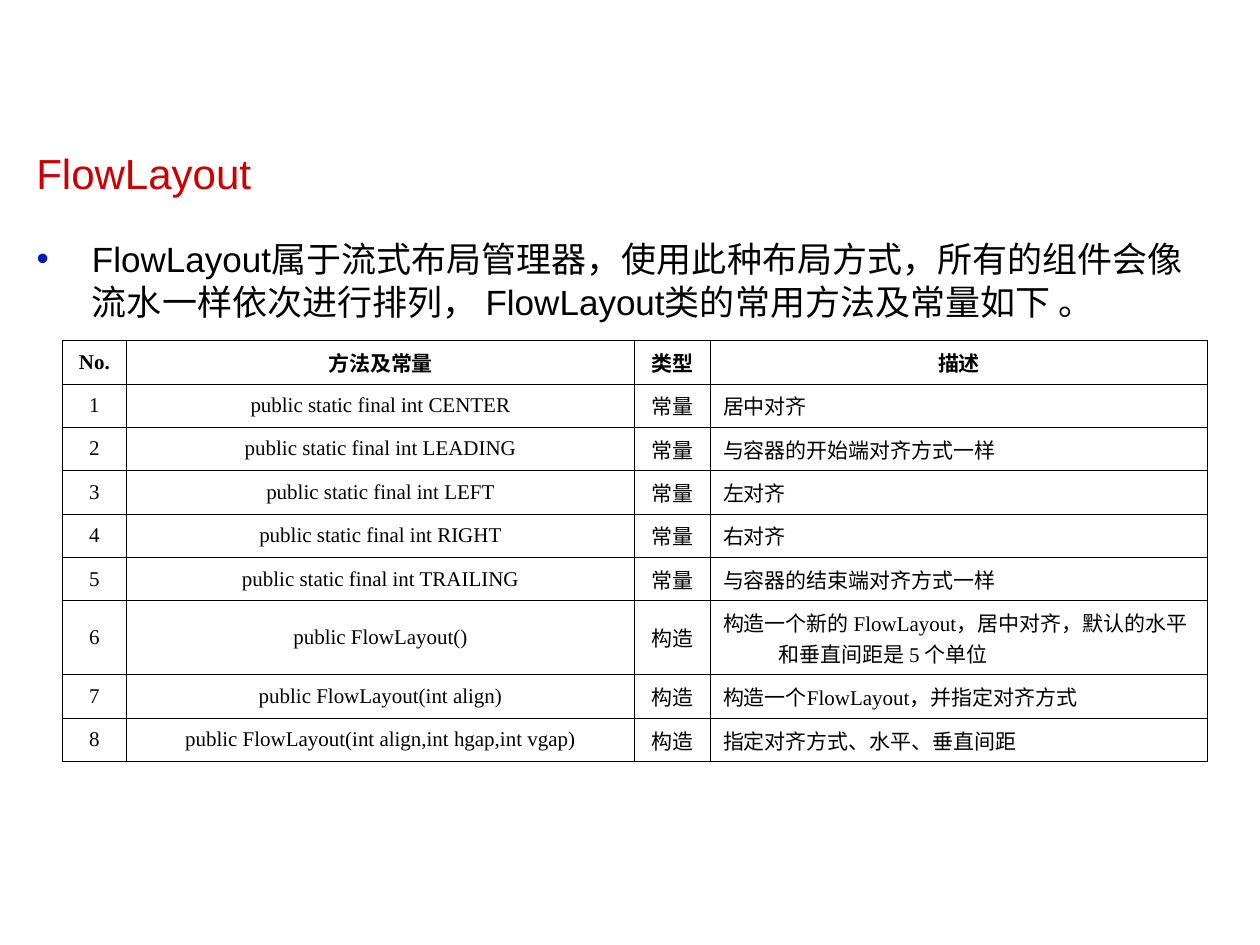
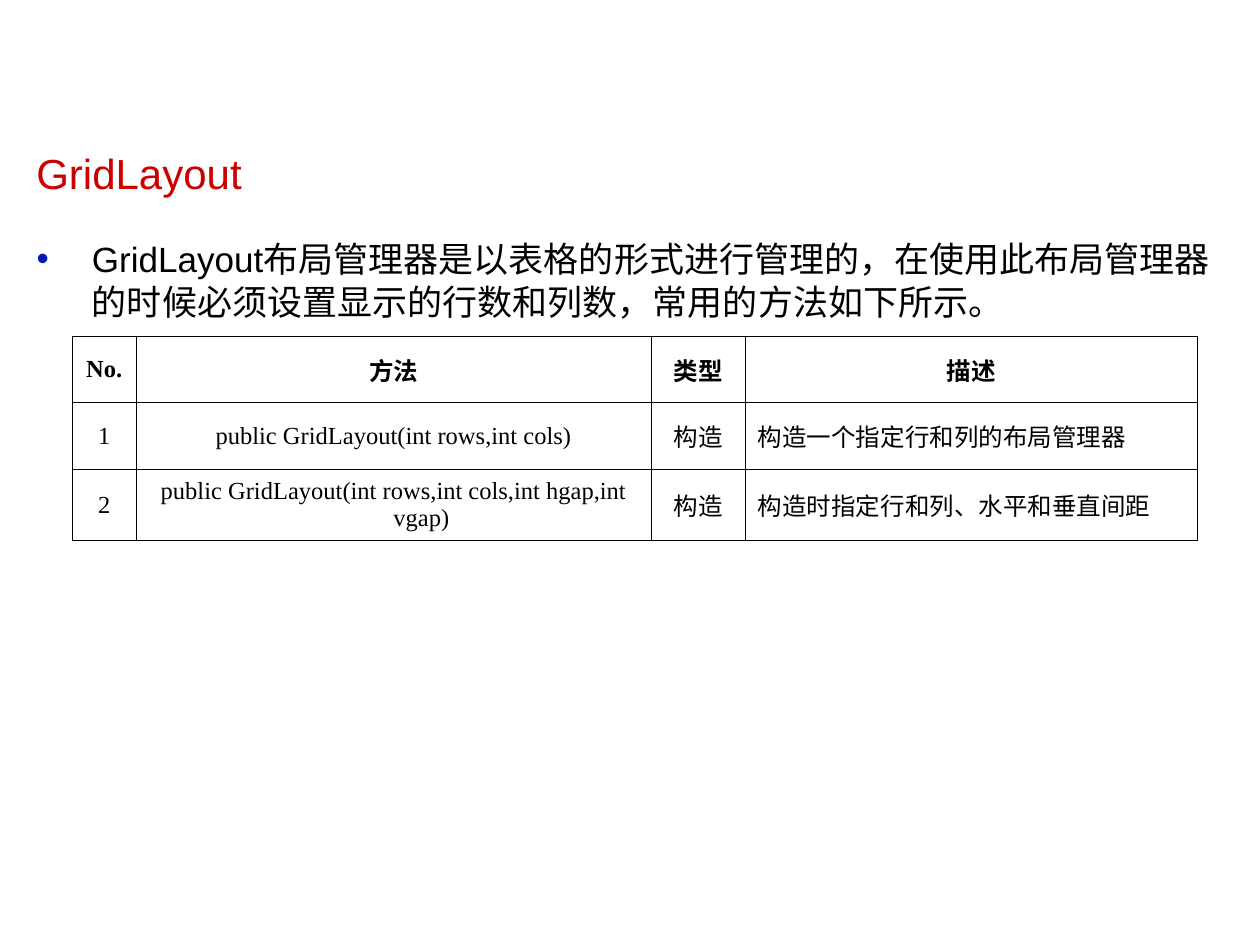
from lxml.etree import SubElement
from pptx import Presentation
from pptx.dml.color import RGBColor
from pptx.enum.lang import MSO_LANGUAGE_ID
from pptx.enum.shapes import MSO_CONNECTOR
from pptx.enum.text import MSO_ANCHOR, PP_ALIGN
from pptx.oxml.ns import qn
from pptx.util import Pt

RED = RGBColor(0xCC, 0x00, 0x00)
BLUE = RGBColor(0x05, 0x1A, 0xB3)
BLACK = RGBColor(0x00, 0x00, 0x00)
WHITE = RGBColor(0xFF, 0xFF, 0xFF)

SANS, SERIF = "Arial", "Times New Roman"
HANG = 31.7
RULE = 0.45

TITLE = (13.7, 69.6, 689, 61.9)
BODY = (13.8, 131.3, 688.3, 351.4)
TICK = (67, 510.5, 67, 525.6)

FLOW = [
    ("No.", "方法及常量", "类型", "描述"),
    ("1", "public static final int CENTER", "常量", "居中对齐"),
    ("2", "public static final int LEADING", "常量", "与容器的开始端对齐方式一样"),
    ("3", "public static final int LEFT", "常量", "左对齐"),
    ("4", "public static final int RIGHT", "常量", "右对齐"),
    ("5", "public static final int TRAILING", "常量", "与容器的结束端对齐方式一样"),
    ("6", "public FlowLayout()", "构造",
     "构造一个新的 FlowLayout，居中对齐，默认的水平和垂直间距是 5 个单位"),
    ("7", "public FlowLayout(int align)", "构造", "构造一个FlowLayout，并指定对齐方式"),
    ("8", "public FlowLayout(int align,int hgap,int vgap)", "构造",
     "指定对齐方式、水平、垂直间距"),
]
GRID = [
    ("No.", "方法", "类型", "描述"),
    ("1", "public GridLayout(int rows,int cols)", "构造", "构造一个指定行和列的布局管理器"),
    ("2", "public GridLayout(int rows,int cols,int hgap,int vgap)", "构造",
     "构造时指定行和列、水平和垂直间距"),
]


def add_run(para, text, face, size, color, bold=False):
    run = para.add_run()
    run.text = text
    font = run.font
    font.name, font.size, font.bold = face, Pt(size), bold
    font.color.rgb = color
    font.language_id = MSO_LANGUAGE_ID.SIMPLIFIED_CHINESE


def hang(para):
    """Indent all lines but the first."""
    props = para._p.get_or_add_pPr()
    props.set("marL", str(Pt(HANG)))
    props.set("indent", str(-Pt(HANG)))
    return props


def add_tick(slide, ends):
    """Draw the short footer divider."""
    line = slide.shapes.add_connector(MSO_CONNECTOR.STRAIGHT, *map(Pt, ends))
    line.line.color.rgb = WHITE
    line.line.width = Pt(0.75)
    SubElement(line._element.spPr, qn("a:effectLst"))


def add_box(slide, box, anchor):
    frame = slide.shapes.add_textbox(*map(Pt, box)).text_frame
    frame.word_wrap = True
    frame.vertical_anchor = anchor
    return frame.paragraphs[0]


def add_title(slide, box, text):
    para = add_box(slide, box, MSO_ANCHOR.MIDDLE)
    para.line_spacing = 0.9
    add_run(para, text, SANS, 24, RED)


def add_body(slide, box, text):
    para = add_box(slide, box, MSO_ANCHOR.TOP)
    props = hang(para)
    tint = SubElement(props, qn("a:buClr"))
    SubElement(tint, qn("a:srgbClr"), val=str(BLUE))
    SubElement(props, qn("a:buFont"), typeface=SANS)
    SubElement(props, qn("a:buChar"), char="•")
    para.line_spacing = Pt(24.6)
    para.space_after = Pt(5)
    add_run(para, text, SANS, 20, BLACK)


def add_rules(cell):
    """Draw a thin line on each side of the cell."""
    props = cell._tc.get_or_add_tcPr()
    for side in ("lnL", "lnR", "lnT", "lnB"):
        line = SubElement(props, qn(f"a:{side}"), w=str(Pt(RULE)))
        fill = SubElement(line, qn("a:solidFill"))
        SubElement(fill, qn("a:srgbClr"), val=str(BLACK))


def fill_cell(cell, text, size, head, left):
    add_rules(cell)
    cell.fill.background()
    cell.vertical_anchor = MSO_ANCHOR.MIDDLE
    para = cell.text_frame.paragraphs[0]
    hang(para)
    para.alignment = PP_ALIGN.LEFT if left else PP_ALIGN.CENTER
    add_run(para, text, SERIF, size, BLACK, head)


def add_grid(slide, spot, widths, heights, rows, size):
    box = (*spot, sum(widths), sum(heights))
    table = slide.shapes.add_table(len(rows), len(widths), *map(Pt, box)).table
    table.first_row = table.horz_banding = False
    for col, width in zip(table.columns, widths):
        col.width = Pt(width)
    for row, height in zip(table.rows, heights):
        row.height = Pt(height)
    last = len(widths) - 1
    for r, texts in enumerate(rows):
        for c, text in enumerate(texts):
            left = r > 0 and c == last
            fill_cell(table.cell(r, c), text, size, r == 0, left)


def add_page(deck, title, body, **grid):
    slide = deck.slides.add_slide(deck.slide_layouts[6])
    add_tick(slide, TICK)
    add_title(slide, TITLE, title)
    add_body(slide, BODY, body)
    add_grid(slide, **grid)


def main():
    deck = Presentation()
    deck.slide_width, deck.slide_height = Pt(720), Pt(540)
    add_page(
        deck, "FlowLayout",
        "FlowLayout属于流式布局管理器，使用此种布局方式，所有的组件会像流水一样依次进行排列，"
        " FlowLayout类的常用方法及常量如下 。",
        spot=(35.6, 194.6), widths=(36.7, 290.4, 43.3, 284.1),
        heights=[24.8] * 6 + [42.4] + [24.8] * 2, rows=FLOW, size=12)
    add_page(
        deck, "GridLayout",
        "GridLayout布局管理器是以表格的形式进行管理的，在使用此布局管理器的时候必须设置显示的"
        "行数和列数，常用的方法如下所示。",
        spot=(41.2, 192.1), widths=(36.7, 294.2, 53.8, 258.2),
        heights=(38, 38, 40.6), rows=GRID, size=14)
    deck.save("out.pptx")


if __name__ == "__main__":
    main()
